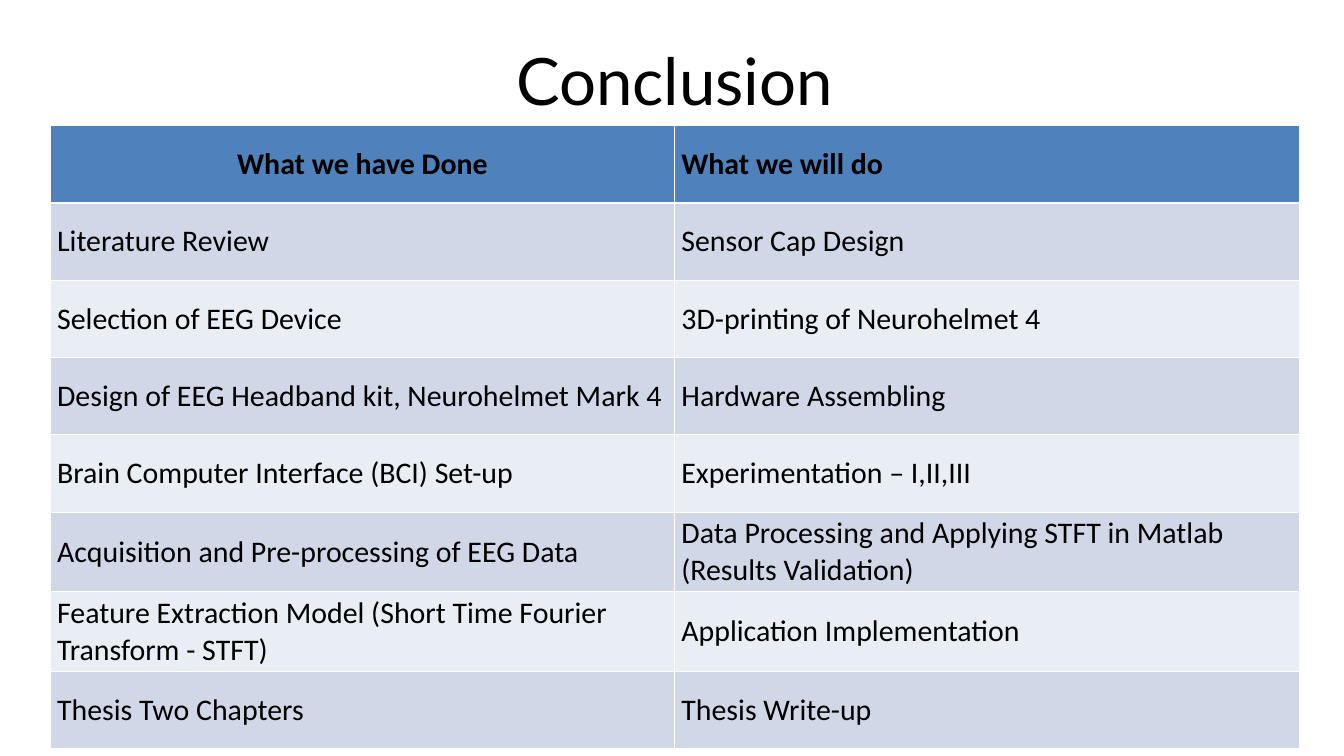
from lxml import etree
from pptx import Presentation
from pptx.dml.color import RGBColor
from pptx.enum.text import MSO_ANCHOR, PP_ALIGN
from pptx.oxml.ns import qn
from pptx.util import Inches, Pt

LEFT, CENTER = PP_ALIGN.LEFT, PP_ALIGN.CENTER
MIDDLE = MSO_ANCHOR.MIDDLE
BLACK = RGBColor(0x00, 0x00, 0x00)
WHITE = RGBColor(0xFF, 0xFF, 0xFF)
BLUE = RGBColor(0x4F, 0x81, 0xBD)
BANDS = (RGBColor(0xE9, 0xED, 0xF4), RGBColor(0xD0, 0xD8, 0xE8))

ROWS = [
    ("What we have Done", "What we will do"),
    ("Literature Review", "Sensor Cap Design"),
    ("Selection of EEG Device", "3D-printing of Neurohelmet 4"),
    ("Design of EEG Headband kit, Neurohelmet Mark 4", "Hardware Assembling"),
    ("Brain Computer Interface (BCI) Set-up", "Experimentation – I,II,III"),
    ("Acquisition and Pre-processing of EEG Data",
     "Data Processing and Applying STFT in Matlab (Results Validation)"),
    ("Feature Extraction Model (Short Time Fourier Transform - STFT)",
     "Application Implementation"),
    ("Thesis Two Chapters", "Thesis Write-up"),
]


class Deck:
    def __init__(self, slide):
        self.slide = slide
        self.head = "Lato"
        self.body = "Calibri"

    def label(self, frame, text, font, size, align, bold=False):
        frame.text = text
        line = frame.paragraphs[0]
        line.alignment = align
        for run in line.runs:
            run.font.name = font
            run.font.size = Pt(size)
            run.font.bold = bold
            run.font.color.rgb = BLACK

    def title(self, text, left, top, width, height):
        box = self.slide.shapes.title
        box.left, box.top = Inches(left), Inches(top)
        box.width, box.height = Inches(width), Inches(height)
        box.text_frame.vertical_anchor = MIDDLE
        self.label(box.text_frame, text, self.head, 70, CENTER)

    def border(self, cell, top, bottom):
        props = cell._tc.get_or_add_tcPr()
        sides = (("L", 1), ("R", 1), ("T", top), ("B", bottom))
        for spot, (side, width) in enumerate(sides):
            line = etree.Element(qn(f"a:ln{side}"), w=str(Pt(width)))
            fill = etree.SubElement(line, qn("a:solidFill"))
            etree.SubElement(fill, qn("a:srgbClr"), val=str(WHITE))
            props.insert(spot, line)

    def table(self, rows, left, top, width, pitch):
        count = len(rows[0])
        grid = self.slide.shapes.add_table(
            len(rows), count, Inches(left), Inches(top),
            Inches(width), Inches(pitch * len(rows))).table
        for col in grid.columns:
            col.width = Inches(width / count)
        for r, texts in enumerate(rows):
            grid.rows[r].height = Inches(pitch)
            for c, text in enumerate(texts):
                cell = grid.cell(r, c)
                cell.vertical_anchor = MIDDLE
                cell.fill.solid()
                cell.fill.fore_color.rgb = BANDS[r % 2] if r else BLUE
                align = CENTER if r == c == 0 else LEFT
                self.label(cell.text_frame, text, self.body, 32, align, r == 0)
                self.border(cell, 3 if r == 1 else 1, 1 if r else 3)


def main():
    show = Presentation()
    show.slide_width, show.slide_height = Inches(20), Inches(11.25)
    deck = Deck(show.slides.add_slide(show.slide_layouts[5]))
    deck.title("Conclusion", 0.75, 0.38, 18.58, 1.61)
    deck.table(ROWS, 0.75, 1.87, 18.58, 1.15)
    show.save("out.pptx")


if __name__ == "__main__":
    main()
